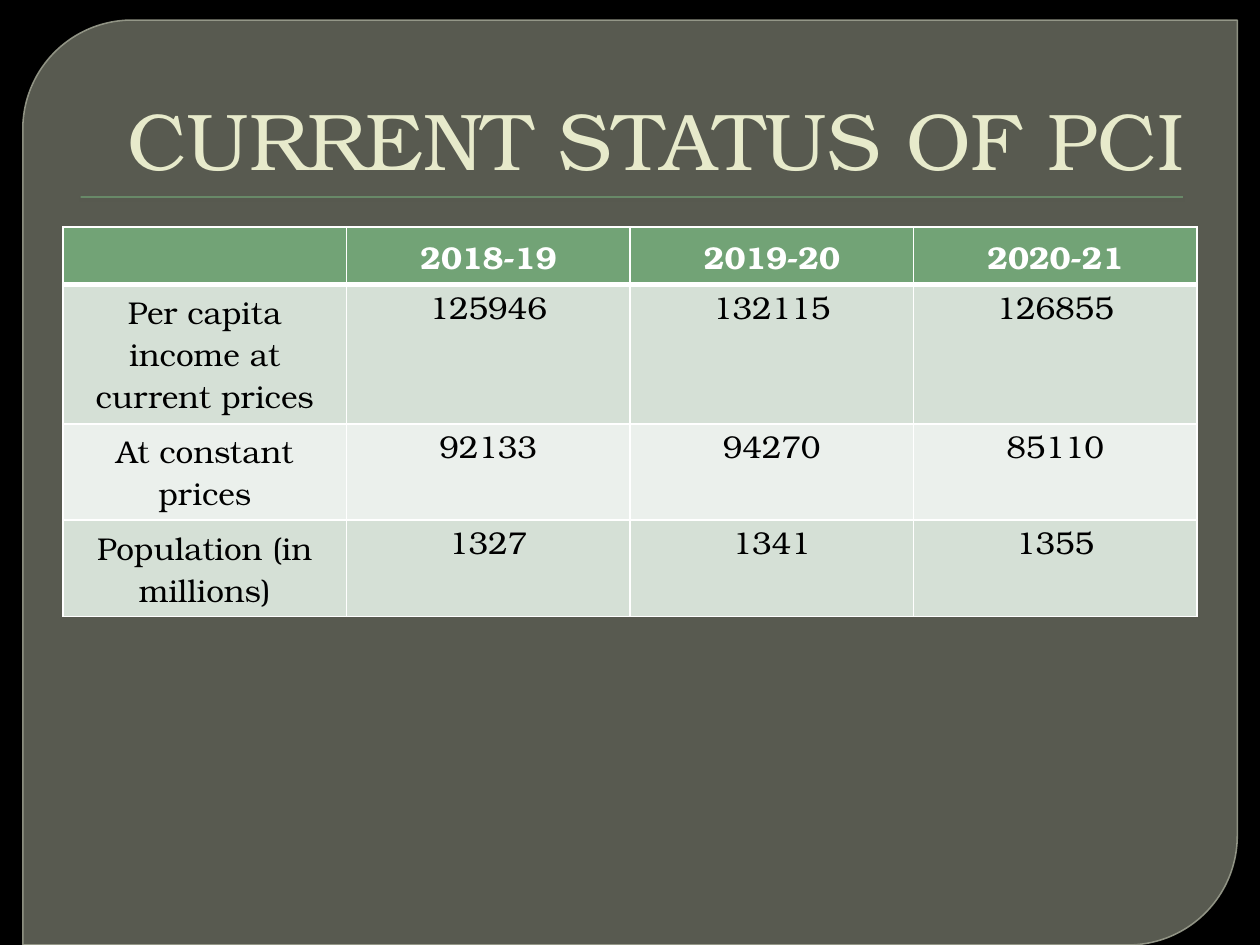
import pptx
import pptx.dml.color
import pptx.enum.shapes
import pptx.enum.text
import pptx.oxml
import pptx.oxml.ns
import pptx.util
from lxml import etree

Pt = pptx.util.Pt
SHAPE = pptx.enum.shapes.MSO_SHAPE
ALIGN = pptx.enum.text.PP_ALIGN
ANCHOR = pptx.enum.text.MSO_ANCHOR
qn = pptx.oxml.ns.qn
NS = pptx.oxml.ns.nsdecls("a")
FONT = "TeX Gyre Bonum"

ROWS = [
    ["", "2018-19", "2019-20", "2020-21"],
    ["Per capita income at current prices", "125946", "132115", "126855"],
    ["At constant prices", "92133", "94270", "85110"],
    ["Population (in millions)", "1327", "1341", "1355"],
]
ROW_HEIGHTS = [33, 79.5, 55, 55]


def rgb(color):
    return pptx.dml.color.RGBColor.from_string(color)


def set_fill(fill, color, alpha=100):
    fill.solid()
    fill.fore_color.rgb = rgb(color)
    if alpha < 100:
        clr = fill._xPr.find(".//" + qn("a:srgbClr"))
        etree.SubElement(clr, qn("a:alpha")).set("val", str(alpha * 1000))


def add_panel(slide):
    s = slide.shapes.add_shape(SHAPE.ROUND_2_DIAG_RECTANGLE,
                               Pt(13), Pt(11.5), Pt(694), Pt(528.5))
    s.adjustments[0] = 0.118
    s.shadow.inherit = False
    set_fill(s.fill, "888B7B", 65)
    set_fill(s.line.fill, "9DA090", 88)
    s.line.width = Pt(0.87)


def add_rule(slide):
    s = slide.shapes.add_shape(SHAPE.RECTANGLE, Pt(46), Pt(112.25), Pt(630), Pt(0.75))
    s.shadow.inherit = False
    set_fill(s.fill, "72A376")
    s.line.fill.background()
    effects = s._element.spPr.find(qn("a:effectLst"))
    effects.append(pptx.oxml.parse_xml(
        f'<a:outerShdw {NS} blurRad="{Pt(1)}" dist="{Pt(1)}" dir="5400000">'
        '<a:srgbClr val="000000"><a:alpha val="75000"/></a:srgbClr></a:outerShdw>'))


def style_text(p, text, size, color, align, bold=False):
    p.text = text
    p.alignment = align
    f = p.font
    f.name, f.size, f.bold = FONT, Pt(size), bold
    f.color.rgb = rgb(color)


def add_title(slide, text):
    tf = slide.shapes.add_textbox(Pt(36), Pt(20), Pt(648), Pt(90)).text_frame
    tf.word_wrap = True
    tf.vertical_anchor = ANCHOR.BOTTOM
    style_text(tf.paragraphs[0], text, 46, "E7EACB", ALIGN.RIGHT)


def set_borders(cell, top, bottom):
    """Draw white borders, one point wide at the sides."""
    tcPr = cell._tc.get_or_add_tcPr()
    for i, (side, width) in enumerate(zip("LRTB", (1, 1, top, bottom))):
        tcPr.insert(i, pptx.oxml.parse_xml(
            f'<a:ln{side} {NS} w="{Pt(width)}"><a:solidFill>'
            f'<a:srgbClr val="FFFFFF"/></a:solidFill></a:ln{side}>'))


def style_cell(cell, text, row, col):
    header = row == 0
    fill = "72A376" if header else ("EBF0EC", "D5E0D6")[row % 2]
    set_fill(cell.fill, fill)
    set_borders(cell, top=3 if row == 1 else 1, bottom=3 if header else 1)
    if not header and col > 0:
        cell.margin_left = cell.margin_right = cell.margin_top = Pt(0.75)
        cell.margin_bottom = 0
    style_text(cell.text_frame.paragraphs[0], text, 18,
               "FFFFFF" if header else "000000", ALIGN.CENTER, header)


def add_table(slide):
    table = slide.shapes.add_table(len(ROWS), len(ROWS[0]), Pt(36), Pt(129.75),
                                   Pt(648), Pt(sum(ROW_HEIGHTS))).table
    for row, (values, height) in enumerate(zip(ROWS, ROW_HEIGHTS)):
        table.rows[row].height = Pt(height)
        for col, text in enumerate(values):
            style_cell(table.cell(row, col), text, row, col)


def main():
    prs = pptx.Presentation()
    prs.slide_width, prs.slide_height = Pt(720), Pt(540)
    slide = prs.slides.add_slide(prs.slide_layouts[6])
    set_fill(slide.background.fill, "000000")
    add_panel(slide)
    add_rule(slide)
    add_title(slide, "CURRENT STATUS OF PCI")
    add_table(slide)
    prs.save("out.pptx")


if __name__ == "__main__":
    main()
